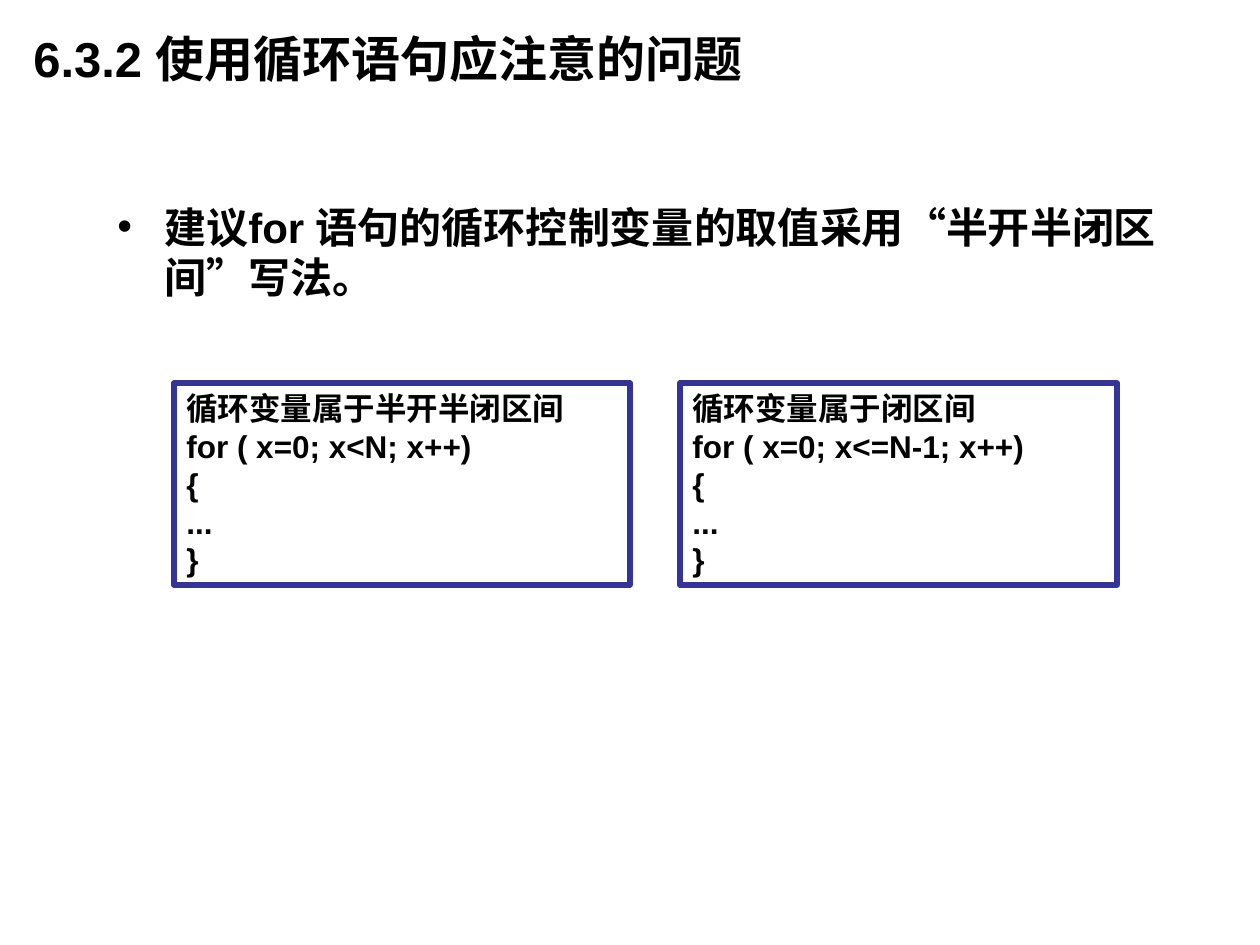
from lxml import etree
from pptx import Presentation, util as u
from pptx.dml import color
from pptx.enum import shapes, text
from pptx.oxml import ns

PX = 914400 / 126
BLACK, WHITE, NAVY = "000000", "FFFFFF", "333399"
LINE_FACTOR = 1.2


def px(length):
    return u.Emu(round(length * PX))


def rgb(value):
    return color.RGBColor.from_string(value)


def add_bullet(para, indent):
    properties = para._p.get_or_add_pPr()
    properties.set("marL", str(px(indent)))
    properties.set("indent", str(-px(indent)))
    etree.SubElement(properties, ns.qn("a:buFont")).set("typeface", "Arial")
    etree.SubElement(properties, ns.qn("a:buChar")).set("char", "•")


def write_lines(box, lines, size, anchor=text.MSO_ANCHOR.TOP, bullet_indent=0):
    frame = box.text_frame
    frame.word_wrap = True
    frame.vertical_anchor = anchor
    for index, line in enumerate(lines):
        para = frame.add_paragraph() if index else frame.paragraphs[0]
        if bullet_indent:
            add_bullet(para, bullet_indent)
        para.alignment = text.PP_ALIGN.LEFT
        para.line_spacing = u.Pt(size * LINE_FACTOR)
        span = para.add_run()
        span.text = line
        span.font.name = "Arial"
        span.font.size = u.Pt(size)
        span.font.bold = True
        span.font.color.rgb = rgb(BLACK)


def add_text(page, left, top, width, height, lines, size, **layout):
    box = page.shapes.add_textbox(px(left), px(top), px(width), px(height))
    write_lines(box, lines, size, **layout)


def add_code_box(page, left, width, heading, loop):
    box = page.shapes.add_shape(
        shapes.MSO_SHAPE.RECTANGLE, px(left), px(383), px(width), px(202))
    box.shadow.inherit = False
    box.fill.solid()
    box.fill.fore_color.rgb = rgb(WHITE)
    box.line.color.rgb = rgb(NAVY)
    box.line.width = u.Pt(3)
    write_lines(box, [heading, loop, "{", "...", "}"], 18)


def main():
    deck = Presentation()
    deck.slide_width, deck.slide_height = px(1260), px(945)
    page = deck.slides.add_slide(deck.slide_layouts[6])
    add_text(page, 21, 0, 945, 116, ["6.3.2 使用循环语句应注意的问题"], 28,
             anchor=text.MSO_ANCHOR.MIDDLE)
    add_text(page, 105, 195, 1072, 609,
             ["建议for 语句的循环控制变量的取值采用“半开半闭区间”写法。"], 24,
             bullet_indent=47)
    add_code_box(page, 174, 456, "循环变量属于半开半闭区间", "for ( x=0; x<N; x++)")
    add_code_box(page, 680, 437, "循环变量属于闭区间", "for ( x=0; x<=N-1; x++)")
    deck.save("out.pptx")


if __name__ == "__main__":
    main()
